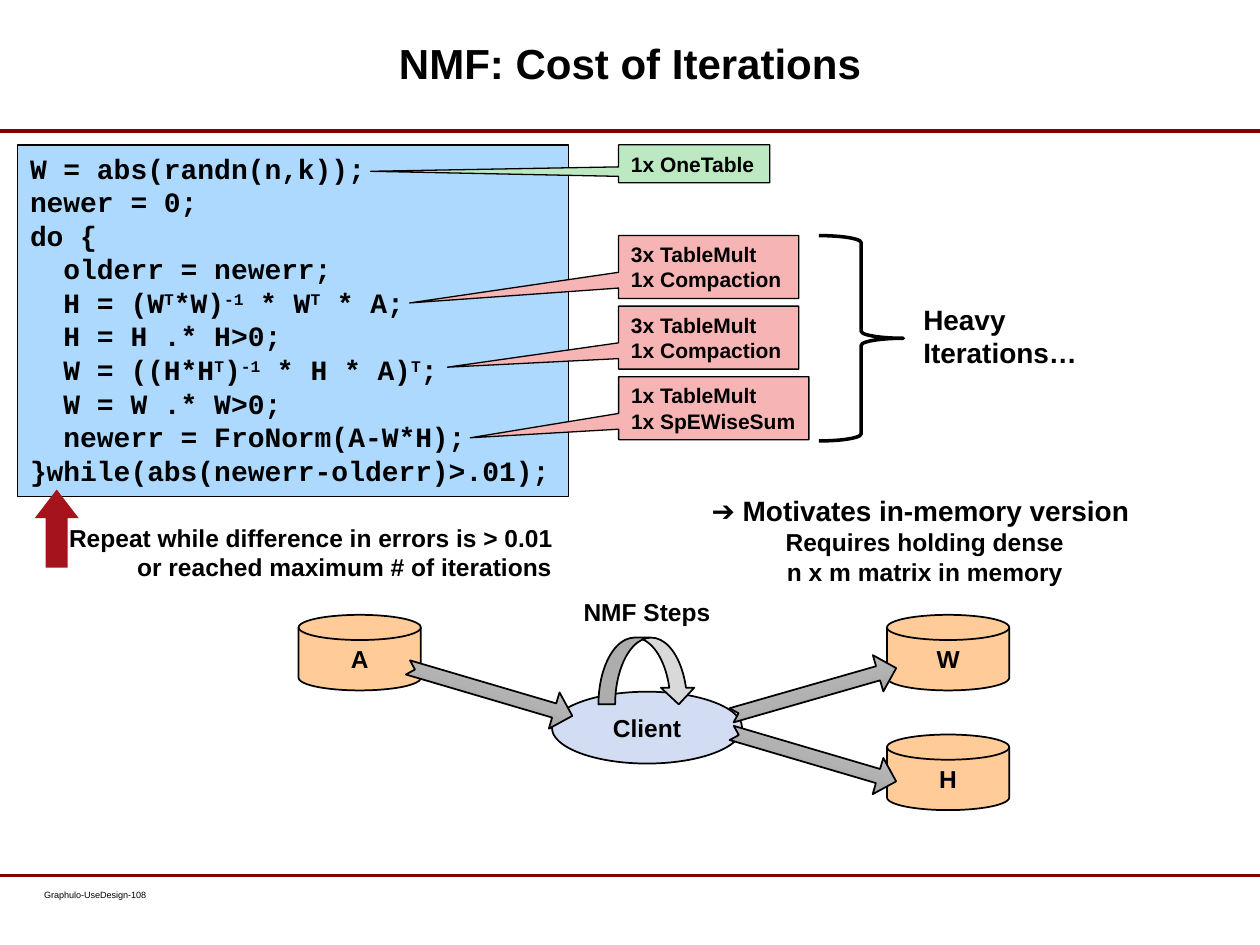
import copy
from dataclasses import dataclass

import pptx
import pptx.dml.color
import pptx.enum.shapes
import pptx.enum.text
import pptx.oxml.ns
import pptx.util
from lxml import etree

SHAPE = pptx.enum.shapes.MSO_SHAPE
ALIGN = pptx.enum.text.PP_ALIGN
ANCHOR = pptx.enum.text.MSO_ANCHOR
GROW = pptx.enum.text.MSO_AUTO_SIZE.SHAPE_TO_FIT_TEXT
COLUMNS, ROWS = 100, 75


@dataclass
class Theme:
    sans: str = "Arial"
    mono: str = "Courier New"
    ink: str = "000000"
    rule: str = "800000"
    code: str = "AED9FF"
    light: str = "BDE9C2"
    heavy: str = "F6B4B4"
    table: str = "FFCC99"
    client: str = "D2DCF2"
    loop: str = "D9D9D9"
    repeat: str = "A5131D"
    flow: tuple = ("7D7D7D", "B2B2B2", "D3D3D3")
    title: float = 24
    large: float = 16
    body: float = 14
    small: float = 12
    footer: float = 5.2


def rgb(value):
    return pptx.dml.color.RGBColor.from_string(value)


class Deck:
    def __init__(self, theme):
        self.theme = theme
        self.prs = pptx.Presentation()
        self.prs.slide_width = pptx.util.Inches(10)
        self.prs.slide_height = pptx.util.Inches(7.5)
        self.s = self.prs.slides.add_slide(self.prs.slide_layouts[5])

    def grid(self, x, y, w, h):
        col, row = self.prs.slide_width / COLUMNS, self.prs.slide_height / ROWS
        return [round(n) for n in (x * col, y * row, w * col, h * row)]

    def set_lines(self, tf, lines, size, font=None, align=ALIGN.LEFT, bold=True):
        for i, line in enumerate(lines):
            p = tf.paragraphs[0] if i == 0 else tf.add_paragraph()
            p.alignment = align
            for j, part in enumerate(line.split("^")):
                r = p.add_run()
                r.text = part
                if j % 2:
                    r.font._element.set("baseline", "30000")
            p.font.name = font or self.theme.sans
            p.font.size = pptx.util.Pt(size)
            p.font.bold = bold
            p.font.color.rgb = rgb(self.theme.ink)

    def title(self, at, text):
        sp = self.s.shapes.title
        sp.left, sp.top, sp.width, sp.height = self.grid(*at)
        sp.text_frame.vertical_anchor = ANCHOR.MIDDLE
        self.set_lines(sp.text_frame, [text], self.theme.title, align=ALIGN.CENTER)
        sp.text_frame.paragraphs[0].line_spacing = pptx.util.Pt(21)

    def rule(self, y):
        x1, y1, w, _ = self.grid(0, y, COLUMNS, 0)
        line = self.s.shapes.add_connector(
            pptx.enum.shapes.MSO_CONNECTOR.STRAIGHT, x1, y1, x1 + w, y1)
        line.line.color.rgb = rgb(self.theme.rule)
        line.line.width = pptx.util.Pt(1.75)
        etree.SubElement(line._element.spPr, pptx.oxml.ns.qn("a:effectLst"))

    def text(self, at, lines, size, wrap=False, **style):
        tf = self.s.shapes.add_textbox(*self.grid(*at)).text_frame
        tf.word_wrap = wrap
        tf.auto_size = GROW
        self.set_lines(tf, lines, size, **style)
        return tf

    def footer(self, at, text):
        tf = self.text(at, [text], self.theme.footer, bold=False)
        tf.margin_left = tf.margin_right = tf.margin_top = tf.margin_bottom = 0

    def shape(self, kind, at, fill=None, line=1, adj=(), turn=0):
        sp = self.s.shapes.add_shape(kind, *self.grid(*at))
        sp.shadow.inherit = False
        sp.rotation = turn
        for i, value in enumerate(adj):
            sp.adjustments[i] = value
        if fill:
            sp.fill.solid()
            sp.fill.fore_color.rgb = rgb(fill)
        else:
            sp.fill.background()
        if line:
            sp.line.color.rgb = rgb(self.theme.ink)
            sp.line.width = pptx.util.Pt(line)
        else:
            sp.line.fill.background()
        return sp

    def panel(self, kind, at, fill, lines, size, font=None, adj=()):
        tf = self.shape(kind, at, fill, 0.75, adj).text_frame
        tf.word_wrap = True
        tf.auto_size = GROW
        tf.vertical_anchor = ANCHOR.TOP
        self.set_lines(tf, lines, size, font)

    def node(self, kind, at, fill, label):
        tf = self.shape(kind, at, fill).text_frame
        tf.vertical_anchor = ANCHOR.MIDDLE
        self.set_lines(tf, [label], self.theme.body, align=ALIGN.CENTER)

    def flow(self, x, y, turn):
        sp = self.shape(SHAPE.NOTCHED_RIGHT_ARROW, (x, y, 13.6, 3),
                        self.theme.flow[1], adj=(0.39, 0.5), turn=turn)
        sp.fill.gradient()
        sp.fill.gradient_angle = 90
        stops = sp._element.spPr.find(".//" + pptx.oxml.ns.qn("a:gsLst"))
        stops.insert(1, copy.deepcopy(stops[0]))
        for i, (stop, color) in enumerate(zip(sp.fill.gradient_stops, self.theme.flow)):
            stop.position = i / 2
            stop.color.rgb = rgb(color)


def main():
    theme = Theme()
    deck = Deck(theme)
    deck.title((10.3, 1.1, 79.4, 8.9), "NMF: Cost of Iterations")
    for y in (10.4, 69.5):
        deck.rule(y)
    deck.footer((3.5, 70.6, 11.9, 2.4), "Graphulo-UseDesign-108")

    deck.panel(SHAPE.RECTANGLE, (1.4, 11.5, 43.7, 27.9), theme.code, [
        "W = abs(randn(n,k));",
        "newer = 0;",
        "do {",
        "  olderr = newerr;",
        "  H = (W^T^*W)^-1^ * W^T^ * A;",
        "  H = H .* H>0;",
        "  W = ((H*H^T^)^-1^ * H * A)^T^;",
        "  W = W .* W>0;",
        "  newerr = FroNorm(A-W*H);",
        "}while(abs(newerr-olderr)>.01);",
    ], theme.large, theme.mono)

    deck.shape(SHAPE.RIGHT_ARROW, (1.4, 40.2, 6.2, 3.5), theme.repeat, 0, (0.5, 0.65), 270)
    tf = deck.text((4.5, 41, 40.6, 5.7), ["Repeat while difference in errors is > 0.01",
                                         "or reached maximum # of iterations"], theme.body)
    indent = deck.grid(5.4, 0, 0, 0)[0]
    tf.paragraphs[1]._p.get_or_add_pPr().set("marL", str(indent))

    deck.panel(SHAPE.RECTANGULAR_CALLOUT, (49.1, 11.5, 12, 3), theme.light,
               ["1x OneTable"], theme.small, adj=(-2.14, 0.2))
    costs = [
        (14.3, ["3x TableMult", "1x Compaction"], (-1.66, 0.57)),
        (14.3, ["3x TableMult", "1x Compaction"], (-1.45, 0.47)),
        (15.1, ["1x TableMult", "1x SpEWiseSum"], (-1.28, 0.47)),
    ]
    for i, (width, lines, tip) in enumerate(costs):
        deck.panel(SHAPE.RECTANGULAR_CALLOUT, (49.1, 18.7 + 5.6 * i, width, 5),
                   theme.heavy, lines, theme.small, adj=tip)
    deck.shape(SHAPE.RIGHT_BRACE, (65, 18.7, 6.7, 16.3), line=2)
    deck.text((72.3, 23.5, 14.4, 6.4), ["Heavy", "Iterations…"], theme.large)

    tf = deck.text((55.5, 38.7, 35.8, 8.4), [
        "➔ Motivates in-memory version",
        "Requires holding dense",
        "n x m matrix in memory",
    ], theme.large, wrap=True)
    for p in tf.paragraphs[1:]:
        p.alignment = ALIGN.CENTER
        p.font.size = pptx.util.Pt(theme.body)

    for label, x, y in (("A", 23.7, 48.8), ("W", 70.4, 48.8), ("H", 70.4, 58.3)):
        deck.node(SHAPE.FLOWCHART_MAGNETIC_DISK, (x, y, 9.7, 6), theme.table, label)
    deck.node(SHAPE.OVAL, (43.8, 54.9, 15.1, 5.7), theme.client, "Client")
    deck.shape(SHAPE.CURVED_LEFT_ARROW, (48.7, 49.4, 5.3, 7.7), theme.loop, turn=270)
    deck.text((45.3, 46.9, 12.1, 3.4), ["NMF Steps"], theme.body, align=ALIGN.CENTER)
    for x, y, turn in ((32.1, 53.4, 16.4), (57.8, 53.4, 344), (57.8, 58.6, 16.4)):
        deck.flow(x, y, turn)

    deck.prs.save("out.pptx")


if __name__ == "__main__":
    main()
